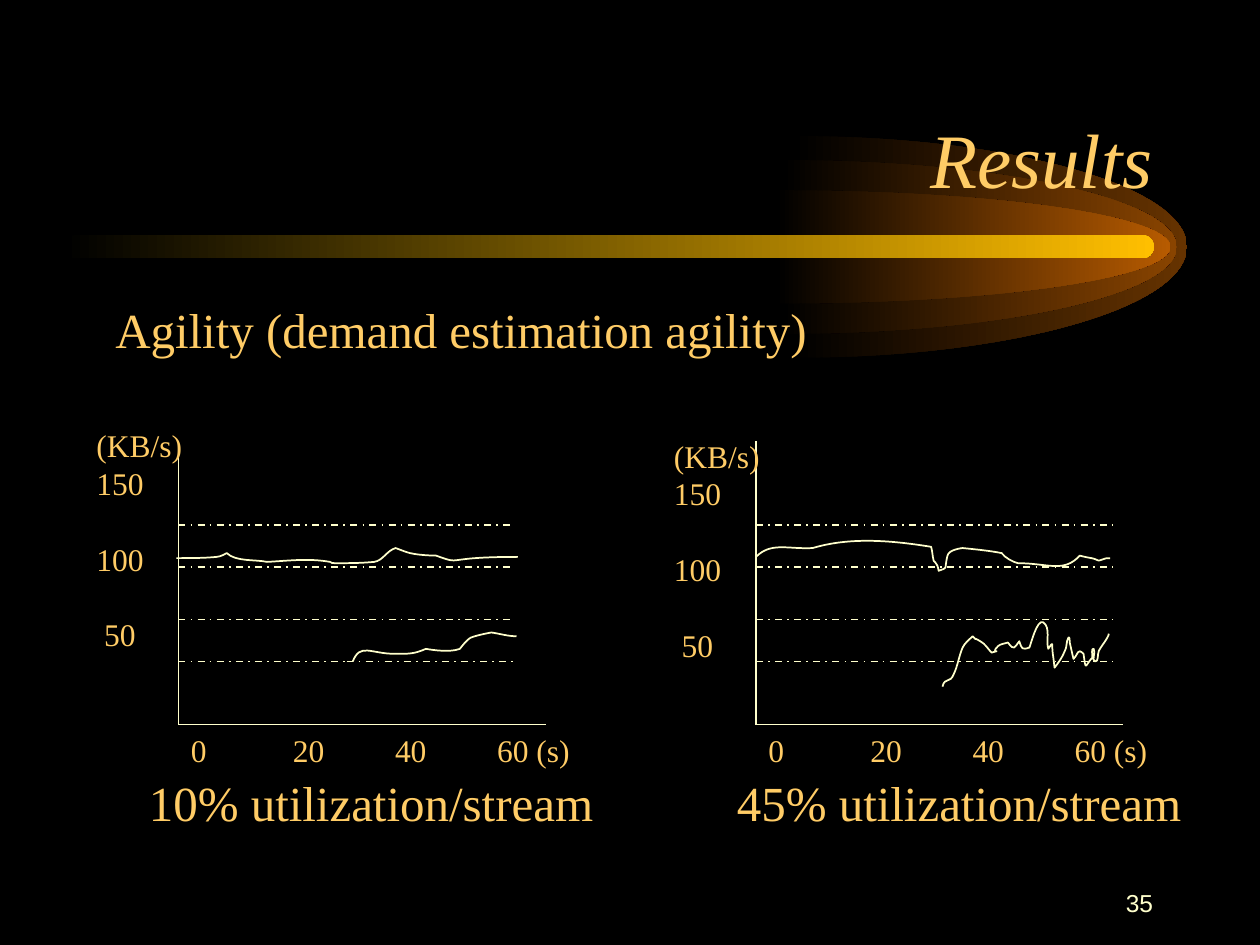
from itertools import pairwise

from lxml.etree import SubElement
from pptx import Presentation
from pptx.dml.color import RGBColor
from pptx.enum.dml import MSO_LINE
from pptx.enum.shapes import MSO_CONNECTOR, MSO_SHAPE
from pptx.enum.text import MSO_ANCHOR, PP_ALIGN
from pptx.oxml.ns import qn
from pptx.util import Inches, Pt

COLORS = {"back": "000000", "gold": "FFCC66", "pale": "FFFFCC", "bar": "FFBF00"}
SERIF = "Times New Roman"
FLOOR = 69          # grid row of both time axes
LEVELS = (50, 54, 59, 63)   # grid rows of the dashed lines
STEP = 0.81         # inches between time labels
LEAD = Pt(21.6)     # line height of the rate labels

# Glow layers: centre x, half height, colour
GLOWS = ((6.29, 0.88, "663300"), (6.21, 0.69, "894400"), (6.16, 0.45, "B75B00"))

# Curves in inches: a start point, then three points per Bezier piece
LEFT_TOP = [
    (1.4, 4.43), (1.51, 4.43), (1.62, 4.43), (1.72, 4.42),
    (1.75, 4.42), (1.8, 4.39), (1.8, 4.39), (1.87, 4.46), (2.03, 4.44), (2.12, 4.46),
    (2.3, 4.45), (2.45, 4.43), (2.62, 4.46), (2.63, 4.47), (2.64, 4.47), (2.66, 4.47),
    (2.76, 4.47), (2.86, 4.47), (2.97, 4.46), (3.04, 4.45), (3.07, 4.37), (3.14, 4.35),
    (3.17, 4.36), (3.19, 4.37), (3.22, 4.38), (3.3, 4.41), (3.46, 4.41), (3.46, 4.41),
    (3.69, 4.49), (3.48, 4.42), (4.11, 4.42)]
LEFT_LOW = [
    (2.8, 5.25), (2.86, 5.1), (2.94, 5.19), (3.14, 5.19),
    (3.25, 5.19), (3.29, 5.19), (3.38, 5.15), (3.44, 5.16), (3.57, 5.18), (3.65, 5.15),
    (3.65, 5.15), (3.71, 5.07), (3.74, 5.06), (3.79, 5.04), (3.9, 5.02), (3.9, 5.02),
    (3.97, 5.03), (4.03, 5.05), (4.1, 5.05)]
RIGHT_TOP = [
    (6, 4.42), (6.12, 4.3), (6.25, 4.36), (6.45, 4.35),
    (6.75, 4.26), (7.08, 4.29), (7.39, 4.34), (7.4, 4.37), (7.4, 4.41), (7.41, 4.45),
    (7.42, 4.46), (7.43, 4.47), (7.44, 4.49), (7.44, 4.5), (7.45, 4.51), (7.45, 4.53),
    (7.53, 4.5), (7.49, 4.53), (7.52, 4.41), (7.53, 4.36), (7.64, 4.35), (7.64, 4.35),
    (7.74, 4.36), (7.85, 4.37), (7.95, 4.39), (7.98, 4.43), (8.04, 4.46), (8.08, 4.47),
    (8.32, 4.47), (8.44, 4.55), (8.57, 4.41), (8.69, 4.44), (8.65, 4.42), (8.72, 4.45),
    (8.79, 4.43), (8.76, 4.43), (8.81, 4.43)]
RIGHT_LOW = [
    (7.48, 5.45), (7.5, 5.37), (7.54, 5.43), (7.57, 5.35),
    (7.6, 5.29), (7.61, 5.21), (7.64, 5.14), (7.66, 5.1), (7.69, 5.08), (7.72, 5.05),
    (7.78, 5.11), (7.7, 5.04), (7.78, 5.09), (7.82, 5.11), (7.84, 5.15), (7.87, 5.18),
    (7.97, 5.15), (7.85, 5.2), (7.92, 5.13), (7.94, 5.11), (7.97, 5.11), (8, 5.1),
    (8.05, 5.17), (8.05, 5.14), (8.09, 5.09), (8.11, 5.15), (8.11, 5.16), (8.17, 5.14),
    (8.18, 5.12), (8.23, 4.91), (8.28, 4.94), (8.34, 4.98), (8.3, 5.09), (8.32, 5.15),
    (8.37, 5.08), (8.34, 5.1), (8.36, 5.22), (8.36, 5.25), (8.37, 5.27), (8.37, 5.3),
    (8.4, 5.26), (8.43, 5.22), (8.45, 5.17), (8.47, 5.14), (8.46, 5.09), (8.48, 5.06),
    (8.49, 5.05), (8.49, 5.09), (8.49, 5.1), (8.5, 5.14), (8.51, 5.19), (8.52, 5.23),
    (8.56, 5.19), (8.55, 5.14), (8.6, 5.19), (8.62, 5.34), (8.61, 5.28), (8.67, 5.22),
    (8.67, 5.2), (8.66, 5.14), (8.68, 5.15), (8.7, 5.18), (8.66, 5.24), (8.69, 5.25),
    (8.72, 5.26), (8.71, 5.19), (8.72, 5.17), (8.73, 5.14), (8.8, 5.06), (8.8, 5.03)]


def grid(*cells):
    """Turn grid units, twelve to the inch, into lengths."""
    return [Inches(c / 12) for c in cells]


def tint(name):
    return RGBColor.from_string(COLORS.get(name, name))


def add_run(para, text, size, color="gold", font=SERIF):
    run = para.add_run()
    run.text = text
    run.font.size, run.font.name = Pt(size), font
    run.font.color.rgb = tint(color)
    return run


def add_box(slide, *cells):
    frame = slide.shapes.add_textbox(*grid(*cells)).text_frame
    frame.word_wrap = True
    return frame


def add_label(slide, text, size, *cells):
    add_run(add_box(slide, *cells).paragraphs[0], text, size)


def add_line(slide, *ends, dash=None):
    line = slide.shapes.add_connector(MSO_CONNECTOR.STRAIGHT, *grid(*ends))
    line.line.color.rgb, line.line.width = tint("pale"), Pt(1)
    if dash:
        line.line.dash_style = dash
    SubElement(line._element.spPr, qn("a:effectLst"))


def add_curve(slide, points, close=False):
    start, *rest = [(Inches(x), Inches(y)) for x, y in points]
    form = slide.shapes.build_freeform(*start)
    form.add_line_segments(rest, close=close)
    shape = form.convert_to_shape()
    shape.shadow.inherit = False
    # Join each three straight pieces into one Bezier piece
    legs = list(shape._element.iter(qn("a:lnTo")))
    for i in range(0, len(rest), 3):
        first, *others = legs[i:i + 3]
        bend = first.makeelement(qn("a:cubicBezTo"))
        first.addprevious(bend)
        for leg in (first, *others):
            bend.append(leg[0])
            leg.getparent().remove(leg)
    if not close:
        shape.fill.background()
        shape.line.color.rgb, shape.line.width = tint("pale"), Pt(1)
    return shape


def fade(shape, color):
    shape.shadow.inherit = False
    shape.line.fill.background()
    shape.fill.gradient()
    shape.fill.gradient_angle = 0
    for stop, pos, name in zip(shape.fill.gradient_stops, (0, 1), ("back", color)):
        stop.position, stop.color.rgb = pos, tint(name)


def add_comet(slide):
    mid, wide, bend = 1.96, 3.13, 0.55
    for x, high, color in GLOWS:
        tip, top, low = x + wide, mid - high, mid + high
        half = [(x, top), (x + wide * bend, top), (tip, mid - high * bend), (tip, mid),
                (tip, mid + high * bend), (x + wide * bend, low), (x, low)]
        fade(add_curve(slide, half, close=True), color)
    bar = slide.shapes.add_shape(MSO_SHAPE.ROUNDED_RECTANGLE, *grid(6, 22.4, 103.9, 2.2))
    bar.adjustments[0] = 0.5
    fade(bar, "bar")


def add_title(slide, text):
    title = slide.shapes.title
    title.left, title.top, title.width, title.height = grid(9, 5, 102, 15)
    title.text_frame.vertical_anchor = MSO_ANCHOR.BOTTOM
    para = title.text_frame.paragraphs[0]
    para.alignment = PP_ALIGN.RIGHT
    add_run(para, text, 44).font.italic = True
    slide.shapes._spTree.append(title._element)  # in front of the comet


def add_plot(slide, left, stops, top, curves):
    # Axes
    add_line(slide, left, 42, left, FLOOR)
    add_line(slide, left, FLOOR, left + 35, FLOOR)
    # Dashed levels, the lowest one drawn from stop to stop
    *upper, lowest = LEVELS
    for row in upper:
        add_line(slide, left, row, stops[-1], row, dash=MSO_LINE.DASH_DOT)
    for a, b in pairwise((left, *stops)):
        add_line(slide, a, lowest, b, lowest, dash=MSO_LINE.DASH_DOT)
    for points in curves:
        add_curve(slide, points)
    # Time labels on tab stops
    para = add_box(slide, left, FLOOR, 38.5, 4.8).paragraphs[0]
    tabs = SubElement(para._p.get_or_add_pPr(), qn("a:tabLst"))
    for n in (1, 2, 3):
        SubElement(tabs, qn("a:tab"), pos=str(Inches(STEP * n)), algn="l")
    add_run(para, "0\t20\t40\t60 (s)", 18)
    # Rate labels
    frame = add_box(slide, left - 9, top, 10.6, 22.8)
    for n, (text, gap) in enumerate((("(KB/s)", 0), ("150", 0), ("100", LEAD), (" 50", LEAD))):
        para = frame.add_paragraph() if n else frame.paragraphs[0]
        para.line_spacing, para.space_before = LEAD, gap
        add_run(para, text, 18)


def main():
    deck = Presentation()
    deck.slide_width, deck.slide_height = grid(120, 90)
    slide = deck.slides.add_slide(deck.slide_layouts[5])
    slide.background.fill.solid()
    slide.background.fill.fore_color.rgb = tint("back")

    # Heading
    add_comet(slide)
    add_title(slide, "Results")
    add_label(slide, "Agility (demand estimation agility)", 28, 9.8, 27.9, 68.5, 6.8)

    # Plots and captions
    add_plot(slide, 17, (33, 49), 40, (LEFT_TOP, LEFT_LOW))
    add_plot(slide, 72, (106,), 41, (RIGHT_TOP, RIGHT_LOW))
    for share, col in (("10%", 13), ("45%", 69)):
        add_label(slide, f"{share} utilization/stream", 28, col, 73, 44.8, 6.8)

    # Page number
    frame = add_box(slide, 86, 83, 25, 6)
    frame.vertical_anchor = MSO_ANCHOR.MIDDLE
    frame.paragraphs[0].alignment = PP_ALIGN.RIGHT
    add_run(frame.paragraphs[0], "35", 14, "pale", "Arial")
    deck.save("out.pptx")


if __name__ == "__main__":
    main()
